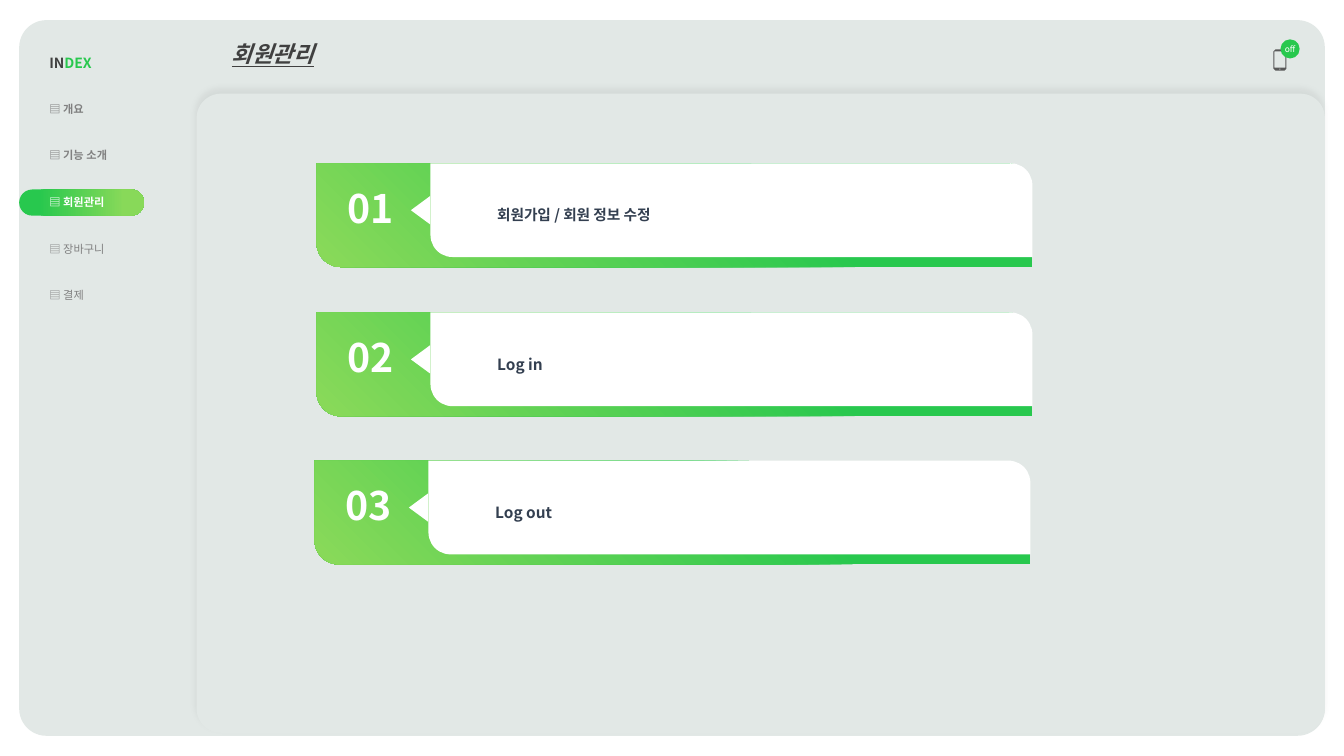
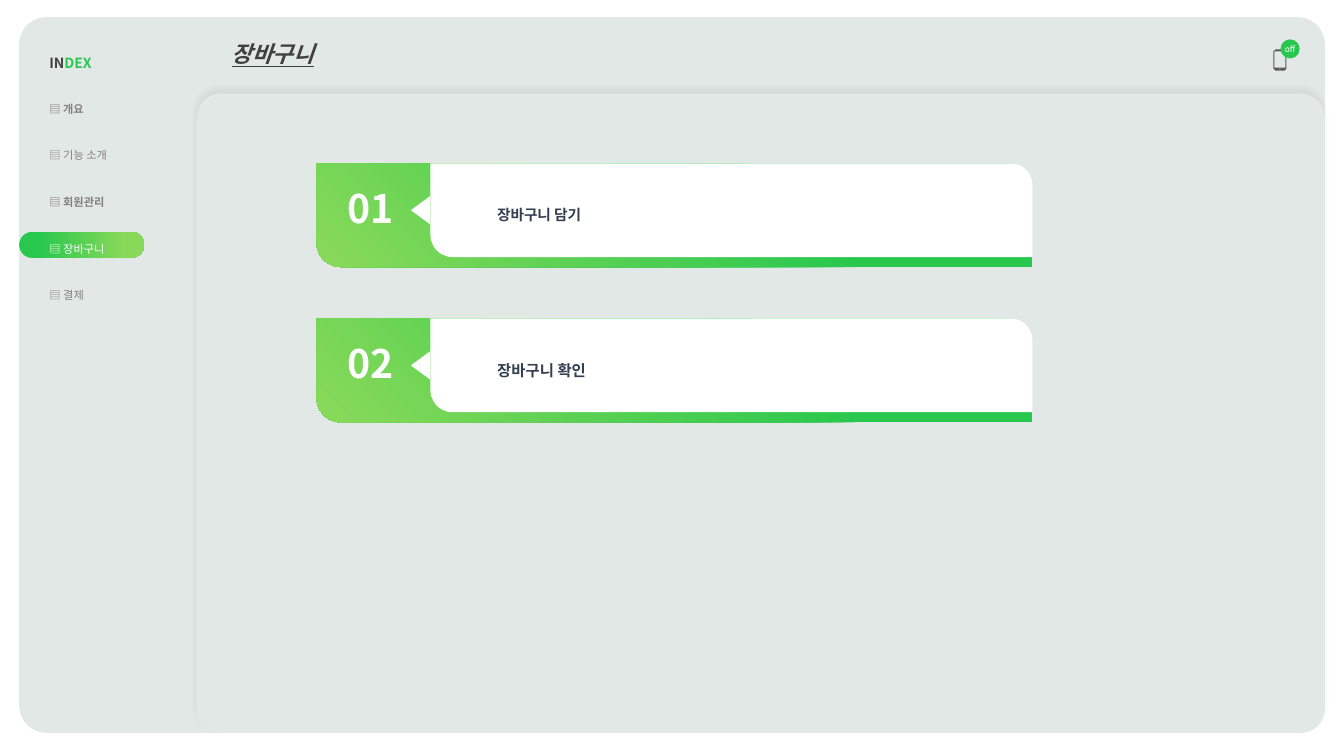
from dataclasses import dataclass

import pptx
import pptx.dml.color
import pptx.enum.shapes
import pptx.enum.text
import pptx.oxml
import pptx.oxml.ns
import pptx.util

Inches = pptx.util.Inches
Pt = pptx.util.Pt
SHAPE = pptx.enum.shapes.MSO_SHAPE
ANCHOR = pptx.enum.text.MSO_ANCHOR
ALIGN = pptx.enum.text.PP_ALIGN
qn = pptx.oxml.ns.qn


@dataclass(frozen=True)
class Theme:
    font: str = "Noto Sans CJK KR"
    panel: str = "E2E8E6"
    green: str = "28C84E"
    lime: str = "88D959"
    white: str = "FFFFFF"
    dark: str = "404040"
    navy: str = "333F50"
    muted: str = "808080"
    icon: str = "595959"
    title_size: float = 16
    number_size: float = 28
    index_size: float = 10
    menu_size: float = 8
    badge_size: float = 6
    no_table_style: str = "{2D5ABB26-0587-4C30-8999-92F81FD0307C}"


MENU = ["개요", "기능 소개", "회원관리", "장바구니", "결제"]


def rgb(color):
    return pptx.dml.color.RGBColor.from_string(color)


class Deck:
    def __init__(self, theme):
        self.t = theme
        self.prs = pptx.Presentation()
        self.prs.slide_width = Inches(13.33)
        self.prs.slide_height = Inches(7.5)
        self.s = None

    def new_slide(self):
        self.s = self.prs.slides.add_slide(self.prs.slide_layouts[5])

    # Text and fills
    def style(self, r, size, color, bold=False):
        r.font.size = Pt(size)
        r.font.bold = bold
        r.font.color.rgb = rgb(color)
        r.font.name = self.t.font
        rpr = r._r.get_or_add_rPr()
        ea = rpr.makeelement(qn("a:ea"), {"typeface": self.t.font})
        rpr.find(qn("a:latin")).addnext(ea)

    def label(self, sp, text, size, color, bold=False, align=ALIGN.LEFT):
        tf = sp.text_frame
        tf.text = text
        tf.vertical_anchor = ANCHOR.MIDDLE
        p = tf.paragraphs[0]
        p.alignment = align
        self.style(p.runs[0], size, color, bold)
        return p

    def margins(self, tf, left, top, right, bottom):
        tf.margin_left, tf.margin_top = Inches(left), Inches(top)
        tf.margin_right, tf.margin_bottom = Inches(right), Inches(bottom)

    def gradient(self, sp, start, end, angle):
        sp.fill.gradient()
        sp.fill.gradient_angle = angle
        stops = zip(sp.fill.gradient_stops, (start, end), (self.t.green, self.t.lime))
        for stop, position, color in stops:
            stop.position = position
            stop.color.rgb = rgb(color)

    # Shapes
    def shape(self, kind, x, y, w, h, fill=None, adjust=(), flip=False, parent=None):
        shapes = (parent or self.s).shapes
        sp = shapes.add_shape(kind, Inches(x), Inches(y), Inches(w), Inches(h))
        sp.shadow.inherit = False
        sp.line.fill.background()
        if fill:
            sp.fill.solid()
            sp.fill.fore_color.rgb = rgb(fill)
        for i, value in enumerate(adjust):
            sp.adjustments[i] = value
        if flip:
            sp._element.spPr.find(qn("a:xfrm")).set("flipH", "1")
        return sp

    def top_shadow(self, sp):
        effects = sp._element.spPr.find(qn("a:effectLst"))
        effects.append(pptx.oxml.parse_xml(
            '<a:outerShdw xmlns:a="http://schemas.openxmlformats.org/drawingml/2006/main"'
            f' blurRad="{Pt(4)}" dist="{Pt(3)}" dir="16200000" algn="b" rotWithShape="0">'
            '<a:srgbClr val="000000"><a:alpha val="5000"/></a:srgbClr></a:outerShdw>'))

    def title(self, text):
        sp = self.s.shapes.title
        self.s.shapes._spTree.append(sp._element)
        sp.left, sp.top = Inches(2.2), Inches(0.35)
        sp.width, sp.height = Inches(1.12), Inches(0.37)
        p = self.label(sp, text, self.t.title_size, self.t.dark, True)
        sp.text_frame.vertical_anchor = ANCHOR.TOP
        sp.text_frame.word_wrap = False
        p.runs[0].font.italic = True
        p.runs[0].font.underline = True

    def phone(self):
        body = [(12.65, 0.49), (12.74, 0.49), (12.76, 0.51), (12.76, 0.68),
                (12.74, 0.7), (12.65, 0.7), (12.63, 0.68), (12.63, 0.51)]
        screen = [(12.64, 0.51), (12.64, 0.67), (12.75, 0.67), (12.75, 0.51)]
        button = [(12.7, 0.68), (12.69, 0.68), (12.69, 0.69), (12.7, 0.69)]
        outlines = [[(Inches(x), Inches(y)) for x, y in points]
                    for points in (body, screen, button)]
        builder = self.s.shapes.build_freeform(*outlines[0][0], scale=1.0)
        builder.add_line_segments(outlines[0][1:], close=True)
        for outline in outlines[1:]:
            builder.move_to(*outline[0])
            builder.add_line_segments(outline[1:], close=True)
        sp = builder.convert_to_shape()
        sp.shadow.inherit = False
        sp.line.fill.background()
        sp.fill.solid()
        sp.fill.fore_color.rgb = rgb(self.t.icon)

    def badge(self, text):
        sp = self.shape(SHAPE.OVAL, 12.7, 0.39, 0.19, 0.19, self.t.green)
        self.label(sp, text, self.t.badge_size, self.t.white, align=ALIGN.CENTER)
        self.margins(sp.text_frame, 0.04, 0.04, 0.04, 0.04)
        sp.text_frame.word_wrap = False

    def frame(self, title, top):
        self.shape(SHAPE.ROUNDED_RECTANGLE, 0.19, top, 12.95, 7.1, self.t.panel, [0.038])
        self.title(title)
        self.phone()
        self.badge("off")
        panel = self.shape(SHAPE.ROUNDED_RECTANGLE, 1.95, 0.93, 11.19, 6.34,
                           self.t.panel, [0.038])
        self.top_shadow(panel)

    def card(self, number, x, y, text, size):
        grp = self.s.shapes.add_group_shape()
        corners = [0.234, 0]
        base = self.shape(SHAPE.ROUND_2_DIAG_RECTANGLE, x, y, 7.1, 1.03,
                          adjust=corners, flip=True, parent=grp)
        self.gradient(base, 0.33, 0.98, 315)
        self.label(base, f"{number:02}", self.t.number_size, self.t.white, True)
        self.margins(base.text_frame, 0.24, 0.05, 0.1, 0.2)

        face = self.shape(SHAPE.ROUND_2_DIAG_RECTANGLE, x + 1.13, y, 5.97, 0.93,
                          self.t.white, corners, True, grp)
        p = self.label(face, text, size, self.t.navy, True)
        p.level = 1
        p.line_spacing = 1.5
        p._p.get_or_add_pPr().set("marL", str(Inches(0.5)))

        pointer = self.shape(SHAPE.ISOSCELES_TRIANGLE, x + 0.89, y + 0.37, 0.28, 0.19,
                             self.t.white, parent=grp)
        pointer.rotation = 270

    # Side menu
    def menu(self, active, bold, pill_top):
        pill = self.shape(SHAPE.ROUNDED_RECTANGLE, 0.19, pill_top, 1.24, 0.26, adjust=[0.5])
        self.gradient(pill, 0.16, 0.84, 0)
        rows = len(MENU) + 1
        frame = self.s.shapes.add_table(rows, 1, Inches(0.39), Inches(0.34),
                                        Inches(1.3), Inches(2.78))
        table = frame.table
        table.first_row = table.horz_banding = False
        table._tbl.tblPr.find(qn("a:tableStyleId")).text = self.t.no_table_style
        for i in range(rows):
            cell = table.cell(i, 0)
            cell.fill.background()
            cell.vertical_anchor = ANCHOR.MIDDLE
            p = cell.text_frame.paragraphs[0]
            p.line_spacing = 1.5
            if i == 0:
                parts = [("IN", self.t.dark), ("DEX", self.t.green)]
                size, heavy = self.t.index_size, True
            else:
                name = MENU[i - 1]
                parts = [("▤ " + name, self.t.white if name == active else self.t.muted)]
                size, heavy = self.t.menu_size, name in bold
            for text, color in parts:
                r = p.add_run()
                r.text = text
                self.style(r, size, color, heavy)


deck = Deck(Theme())

# Topic slides: title, frame top, bold menu entries, pill top, cards
topics = [
    ("회원관리", 0.2, MENU[:3], 1.88,
     [(3.14, 1.62, "회원가입 / 회원 정보 수정", 10.5),
      (3.14, 3.1, "Log in", 11),
      (3.12, 4.57, "Log out", 11)]),
    ("장바구니", 0.17, [MENU[0], MENU[2]], 2.3,
     [(3.14, 1.62, "장바구니 담기", 10.5),
      (3.14, 3.16, "장바구니 확인", 11)]),
]
for title, top, bold, pill_top, cards in topics:
    deck.new_slide()
    deck.frame(title, top)
    for number, card in enumerate(cards, 1):
        deck.card(number, *card)
    deck.menu(title, bold, pill_top)

deck.prs.save("out.pptx")
